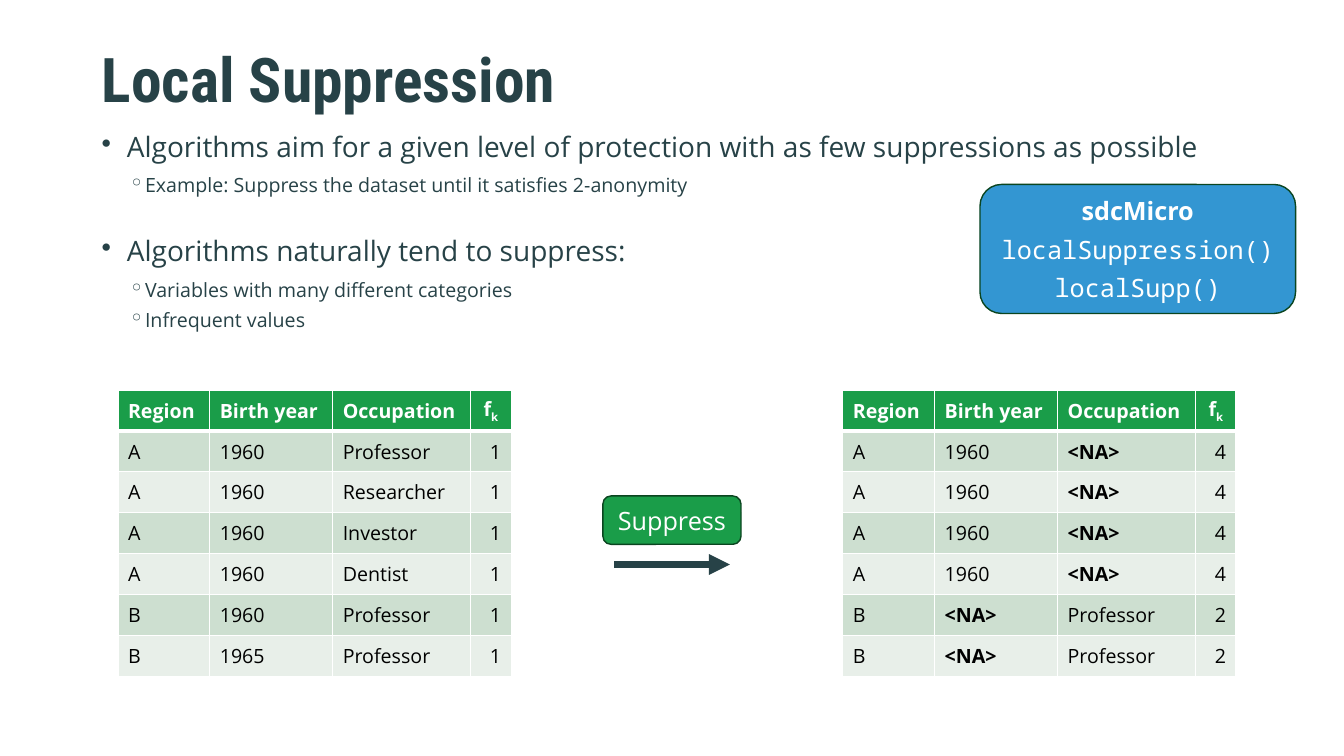
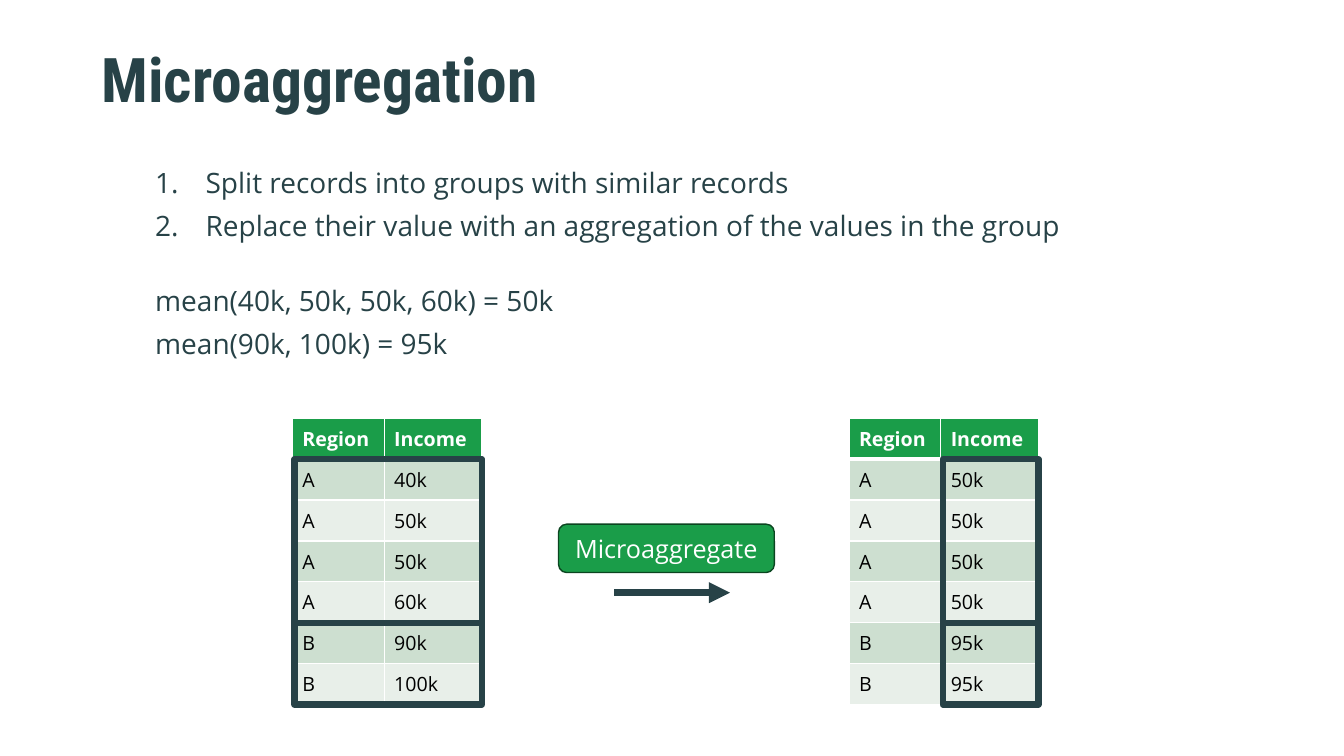
import dataclasses

import lxml.etree
import pptx
import pptx.dml.color
import pptx.enum.shapes
import pptx.enum.text
import pptx.oxml
import pptx.oxml.ns
import pptx.util

Inches = pptx.util.Inches
Pt = pptx.util.Pt
ALIGN = pptx.enum.text.PP_ALIGN
ANCHOR = pptx.enum.text.MSO_ANCHOR
SHAPE = pptx.enum.shapes.MSO_SHAPE


@dataclasses.dataclass(frozen=True)
class Theme:
    ink: str = "274247"
    green: str = "1A9D49"
    outline: str = "0B4520"
    blue: str = "3396D2"
    white: str = "FFFFFF"
    black: str = "000000"
    bands: tuple = ("CDDFD0", "E8EFE9")
    title_font: str = "Roboto Condensed"
    body_font: str = "Open Sans"
    code_font: str = "Noto Sans Mono"
    title_size: int = 44
    body_size: int = 20
    label_size: int = 18
    small_size: int = 14


THEME = Theme()
SLIDE_WIDTH, SLIDE_HEIGHT = 13.33, 7.5
MARGIN = 0.91
TITLE_BOX = (MARGIN, 0.41, 10.86, 0.86)
TABLE_HEIGHT = 2.84
LABEL_DROP, LABEL_HEIGHT = 1.05, 0.48
ARROW_DROP, ARROW_LENGTH = 1.73, 1.15
FRAME_INSET = 0.02

STYLES = {
    "bullet": dict(size=THEME.body_size, left=0.25, hang=0.25, after=9, bullet=("buChar", "char", "•")),
    "sub": dict(size=THEME.small_size, left=0.43, hang=0.16, after=6, bullet=("buChar", "char", "◦")),
    "number": dict(size=THEME.body_size, left=0.5, hang=0.5, after=9, bullet=("buAutoNum", "type", "arabicPeriod")),
    "plain": dict(size=THEME.body_size, left=0, hang=0, after=9, bullet=None),
}
SECTION_GAP = 23

PEOPLE_HEADER = ("Region", "Birth year", "Occupation", "fk")
INCOME_HEADER = ("Region", "Income")
PEOPLE_COLUMNS = (0.91, 1.22, 1.37, 0.4)
INCOME_COLUMNS = (0.91, 0.97)
GROUPS = ((1, 4), (5, 2))

SLIDES = [
    dict(
        title="Local Suppression",
        body_box=(MARGIN, 1.27, 12.42, 2.36),
        sections=[
            [("bullet", "Algorithms aim for a given level of protection with as few suppressions as possible"),
             ("sub", "Example: Suppress the dataset until it satisfies 2-anonymity")],
            [("bullet", "Algorithms naturally tend to suppress:"),
             ("sub", "Variables with many different categories"),
             ("sub", "Infrequent values")],
        ],
        header=PEOPLE_HEADER,
        columns=PEOPLE_COLUMNS,
        table_top=3.87,
        tables=[
            dict(left=1.17, rows=[
                ("A", "1960", "Professor", "1"),
                ("A", "1960", "Researcher", "1"),
                ("A", "1960", "Investor", "1"),
                ("A", "1960", "Dentist", "1"),
                ("B", "1960", "Professor", "1"),
                ("B", "1965", "Professor", "1"),
            ]),
            dict(left=8.36, rows=[("A", "1960", "<NA>", "4")] * 4 + [("B", "<NA>", "Professor", "2")] * 2),
        ],
        label=("Suppress", 5.98, 1.37),
        callout=dict(box=(9.72, 1.83, 3.13, 1.28), heading="sdcMicro",
                     functions=["localSuppression()", "localSupp()"]),
    ),
    dict(
        title="Microaggregation",
        body_box=(1.44, 1.63, 9.55, 2.5),
        sections=[
            [("number", "Split records into groups with similar records"),
             ("number", "Replace their value with an aggregation of the values in the group")],
            [("plain", "mean(40k, 50k, 50k, 60k) = 50k"),
             ("plain", "mean(90k, 100k) = 95k")],
        ],
        header=INCOME_HEADER,
        columns=INCOME_COLUMNS,
        table_top=4.15,
        tables=[
            dict(left=2.9, framed_from=0, rows=[
                ("A", "40k"), ("A", "50k"), ("A", "50k"), ("A", "60k"), ("B", "90k"), ("B", "100k"),
            ]),
            dict(left=8.42, framed_from=1, rows=[("A", "50k")] * 4 + [("B", "95k")] * 2),
        ],
        label=("Microaggregate", 5.54, 2.14),
    ),
]


def color(value):
    return pptx.dml.color.RGBColor.from_string(value)


def add_element(parent, tag, **attributes):
    element = lxml.etree.SubElement(parent, pptx.oxml.ns.qn("a:" + tag))
    for name, value in attributes.items():
        element.set(name, str(value))
    return element


def format_runs(paragraph, size, ink, font=THEME.body_font, bold=False):
    for run in paragraph.runs:
        run.font.name = font
        run.font.size = Pt(size)
        run.font.bold = bold
        run.font.color.rgb = color(ink)


def add_text_box(slide, box):
    text_frame = slide.shapes.add_textbox(*map(Inches, box)).text_frame
    text_frame.word_wrap = True
    return text_frame


def add_title(slide, text):
    text_frame = add_text_box(slide, TITLE_BOX)
    text_frame.vertical_anchor = ANCHOR.MIDDLE
    text_frame.margin_top = 0
    text_frame.text = text
    paragraph = text_frame.paragraphs[0]
    paragraph.line_spacing = 0.9
    format_runs(paragraph, THEME.title_size, THEME.ink, THEME.title_font, True)


def add_body(slide, box, sections):
    text_frame = add_text_box(slide, box)
    text_frame.text = "\n".join(text for section in sections for _, text in section)
    paragraphs = iter(text_frame.paragraphs)
    for section_index, section in enumerate(sections):
        for kind, _ in section:
            style = STYLES[kind]
            paragraph = next(paragraphs)
            properties = paragraph._p.get_or_add_pPr()
            properties.set("marL", str(Inches(style["left"])))
            properties.set("indent", str(-Inches(style["hang"])))
            if style["bullet"]:
                tag, attribute, value = style["bullet"]
                add_element(properties, tag, **{attribute: value})
            paragraph.line_spacing = 0.9
            paragraph.space_after = Pt(style["after"])
            format_runs(paragraph, style["size"], THEME.ink)
        if section_index < len(sections) - 1:
            paragraph.space_after = Pt(style["after"] + SECTION_GAP)


def style_cell(cell, fill, top, bottom):
    properties = cell._tc.get_or_add_tcPr()
    for tag, width in (("lnL", 1), ("lnR", 1), ("lnT", top), ("lnB", bottom)):
        line = add_element(properties, tag, w=Pt(width))
        add_element(add_element(line, "solidFill"), "srgbClr", val=THEME.white)
    cell.fill.solid()
    cell.fill.fore_color.rgb = color(fill)
    cell.vertical_anchor = ANCHOR.MIDDLE


def fill_cell(cell, text, is_header):
    paragraph = cell.text_frame.paragraphs[0]
    if text == "fk":
        paragraph.add_run().text = "f"
        subscript = paragraph.add_run()
        subscript.text = "k"
        subscript._r.get_or_add_rPr().set("baseline", "-25000")
        paragraph.alignment = ALIGN.CENTER
    else:
        paragraph.text = text
    ink = THEME.white if is_header else THEME.black
    format_runs(paragraph, THEME.small_size, ink, bold=is_header or text == "<NA>")
    return paragraph


def add_data_table(slide, left, top, columns, header, rows):
    records = [header] + rows
    frame = slide.shapes.add_table(len(records), len(columns), Inches(left), Inches(top),
                                   Inches(sum(columns)), Inches(TABLE_HEIGHT))
    table = frame.table
    table.horz_banding = False
    for column, width in zip(table.columns, columns):
        column.width = Inches(width)
    for row_index, record in enumerate(records):
        is_header = row_index == 0
        fill = THEME.green if is_header else THEME.bands[(row_index - 1) % 2]
        for column_index, text in enumerate(record):
            cell = table.cell(row_index, column_index)
            style_cell(cell, fill, 3 if row_index == 1 else 1, 3 if is_header else 1)
            paragraph = fill_cell(cell, text, is_header)
            if header[column_index] == "fk" and not is_header:
                paragraph.alignment = ALIGN.RIGHT


def add_panel(slide, preset, box, fill, line, line_width):
    shape = slide.shapes.add_shape(preset, *map(Inches, box))
    shape.shadow.inherit = False
    if fill:
        shape.fill.solid()
        shape.fill.fore_color.rgb = color(fill)
    else:
        shape.fill.background()
    shape.line.color.rgb = color(line)
    shape.line.width = Pt(line_width)
    return shape


def add_rounded_text(slide, box, fill, lines):
    text_frame = add_panel(slide, SHAPE.ROUNDED_RECTANGLE, box, fill, THEME.outline, 1).text_frame
    text_frame.vertical_anchor = ANCHOR.MIDDLE
    text_frame.text = "\n".join(text for text, _, _ in lines)
    for index, (paragraph, (_, font, bold)) in enumerate(zip(text_frame.paragraphs, lines)):
        paragraph.alignment = ALIGN.CENTER
        if index:
            paragraph.space_before = Pt(6)
        format_runs(paragraph, THEME.label_size, THEME.white, font, bold)


def add_arrow(slide, top):
    start = (SLIDE_WIDTH - ARROW_LENGTH) / 2
    arrow = slide.shapes.add_connector(
        pptx.enum.shapes.MSO_CONNECTOR.STRAIGHT,
        Inches(start), Inches(top), Inches(start + ARROW_LENGTH), Inches(top))
    arrow.line.color.rgb = color(THEME.ink)
    arrow.line.width = Pt(5)
    add_element(arrow.line._get_or_add_ln(), "tailEnd", type="triangle")
    add_element(arrow._element.spPr, "effectLst")


def add_group_frames(slide, left, top, columns, first_column, row_height):
    frame_left = left + sum(columns[:first_column]) + FRAME_INSET
    frame_width = sum(columns[first_column:]) - FRAME_INSET
    for first_row, row_count in GROUPS:
        box = (frame_left, top + first_row * row_height, frame_width, row_count * row_height)
        add_panel(slide, SHAPE.RECTANGLE, box, None, THEME.ink, 4.5)


def build_slide(presentation, content):
    slide = presentation.slides.add_slide(presentation.slide_layouts[6])
    top, columns = content["table_top"], content["columns"]
    add_title(slide, content["title"])
    add_body(slide, content["body_box"], content["sections"])
    for table in content["tables"]:
        add_data_table(slide, table["left"], top, columns, content["header"], table["rows"])
        if "framed_from" in table:
            row_height = TABLE_HEIGHT / (len(table["rows"]) + 1)
            add_group_frames(slide, table["left"], top, columns, table["framed_from"], row_height)
    add_arrow(slide, top + ARROW_DROP)
    text, left, width = content["label"]
    add_rounded_text(slide, (left, top + LABEL_DROP, width, LABEL_HEIGHT), THEME.green,
                     [(text, THEME.body_font, False)])
    if "callout" in content:
        callout = content["callout"]
        lines = [(callout["heading"], THEME.body_font, True)]
        lines += [(name, THEME.code_font, False) for name in callout["functions"]]
        add_rounded_text(slide, callout["box"], THEME.blue, lines)


def main():
    presentation = pptx.Presentation()
    presentation.slide_width = Inches(SLIDE_WIDTH)
    presentation.slide_height = Inches(SLIDE_HEIGHT)
    for content in SLIDES:
        build_slide(presentation, content)
    presentation.save("out.pptx")


if __name__ == "__main__":
    main()
